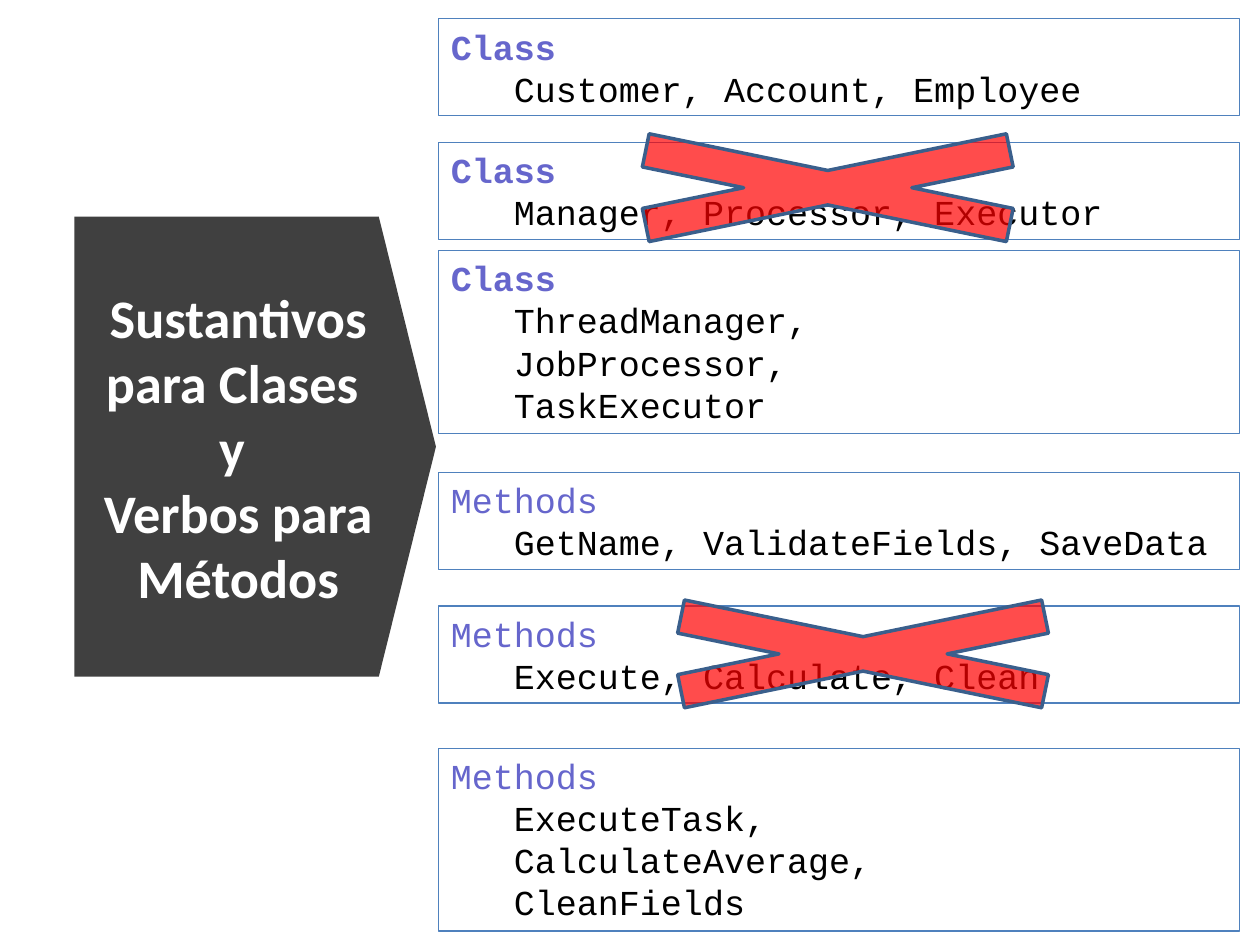
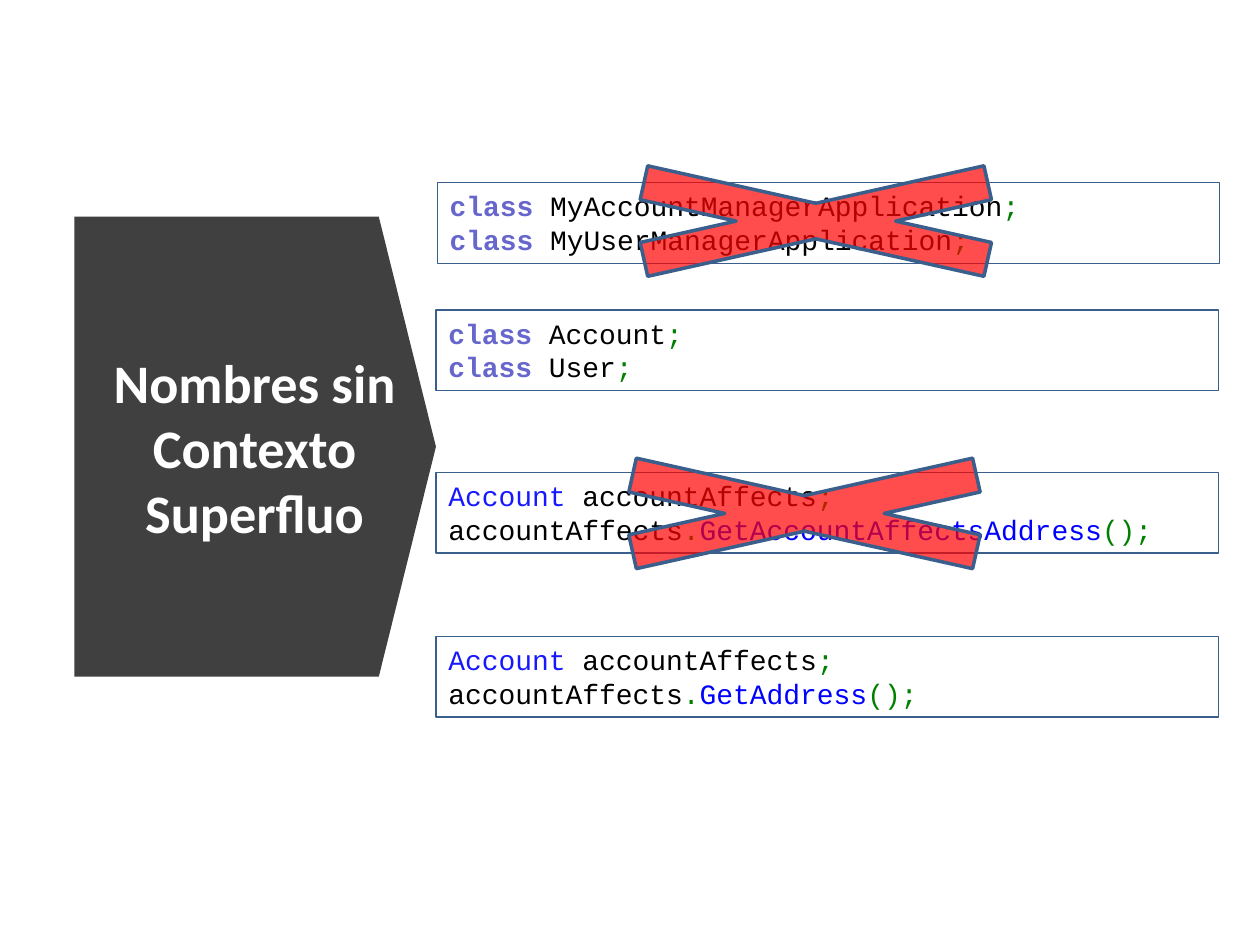
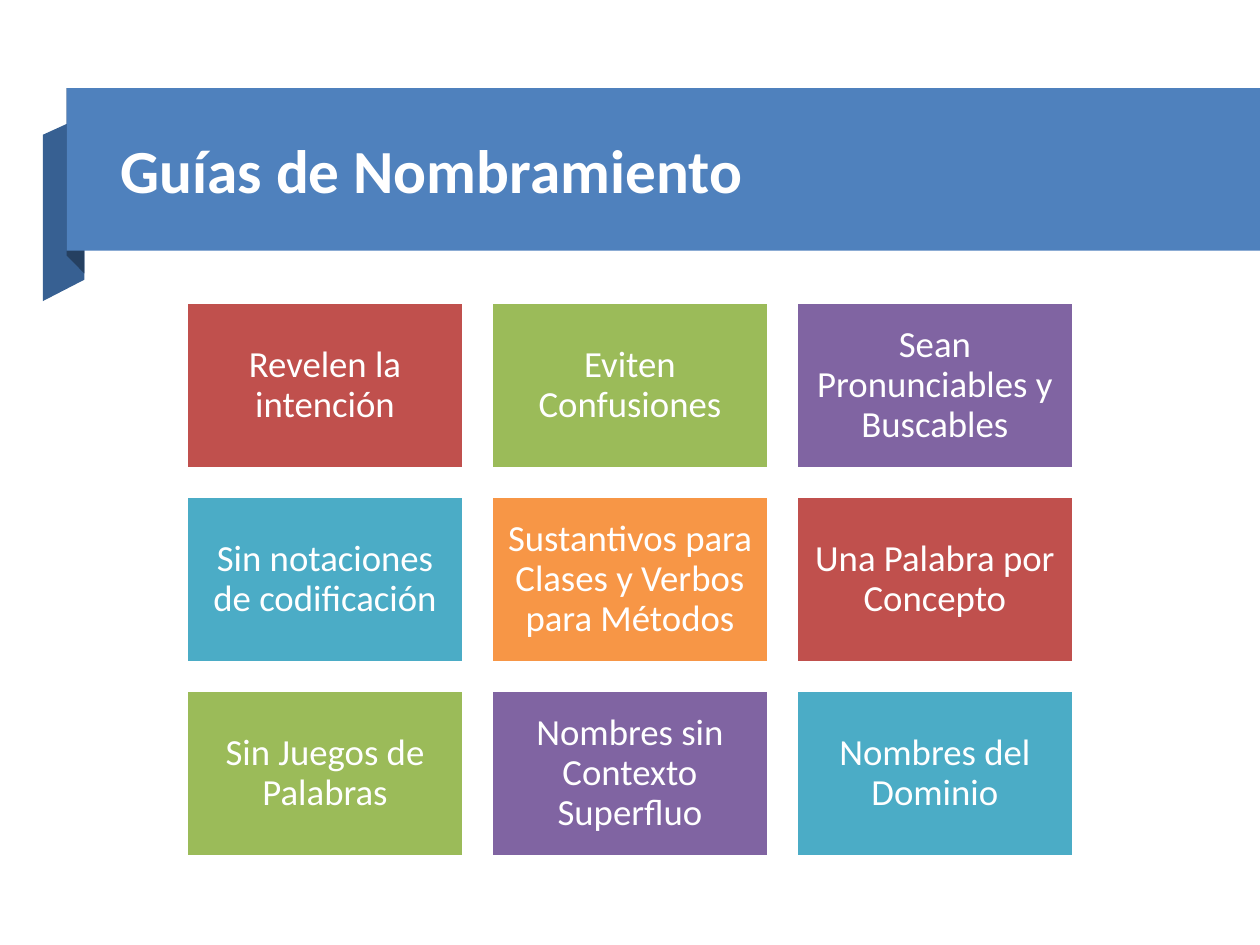
from dataclasses import dataclass

from lxml import etree
from pptx import Presentation
from pptx.dml.color import RGBColor
from pptx.enum.shapes import MSO_SHAPE
from pptx.enum.text import MSO_ANCHOR, PP_ALIGN
from pptx.oxml.ns import qn
from pptx.util import Inches, Pt

RECT = MSO_SHAPE.RECTANGLE
ARROW = MSO_SHAPE.DOWN_ARROW
CROSS = MSO_SHAPE.MATH_MULTIPLY
TOP, MIDDLE = MSO_ANCHOR.TOP, MSO_ANCHOR.MIDDLE
LEFT, CENTER = PP_ALIGN.LEFT, PP_ALIGN.CENTER


@dataclass(frozen=True)
class Theme:
    sans: str = "Calibri"
    mono: str = "Courier New"
    white: str = "FFFFFF"
    black: str = "000000"
    panel: str = "404040"
    blue: str = "4F81BD"
    navy: str = "3A5F8C"
    fold: str = "376092"
    fold_dark: str = "254061"
    cross: str = "FF0000"
    keyword: str = "6666CC"
    sign: str = "008000"
    type_name: str = "1818FF"
    call: str = "0000FF"
    red: str = "C0504D"
    green: str = "9BBB59"
    purple: str = "8064A2"
    teal: str = "4BACC6"
    orange: str = "F79646"
    panel_size: int = 31
    title_size: int = 35
    card_size: int = 21
    names_size: int = 20
    code_size: int = 16


T = Theme()

STYLES = {
    "kw": (T.keyword, True),
    "head": (T.keyword, False),
    "name": (T.black, False),
    "sign": (T.sign, False),
    "type": (T.type_name, False),
    "call": (T.call, False),
}

NAMES_TITLE = ["Sustantivos para Clases ", "y ", "Verbos para Métodos"]
NAMES = [
    (0.15, 0.77, "Class", "kw", ["Customer, Account, Employee"]),
    (1.13, 0.77, "Class", "kw", ["Manager, Processor, Executor"]),
    (1.99, 1.45, "Class", "kw",
     ["ThreadManager,", "JobProcessor,", "TaskExecutor"]),
    (3.75, 0.77, "Methods", "head", ["GetName, ValidateFields, SaveData"]),
    (4.81, 0.77, "Methods", "head", ["Execute, Calculate, Clean"]),
    (5.94, 1.45, "Methods", "head",
     ["ExecuteTask,", "CalculateAverage,", "CleanFields"]),
]
NAMES_CROSSES = [(3.79, 0.92, 5.56, 1.14), (4.07, 4.62, 5.56, 1.14)]


def class_line(name):
    return [("class ", "kw"), (name, "name"), (";", "sign")]


def account_lines(method):
    return [
        [("Account ", "type"), ("accountAffects", "name"), (";", "sign")],
        [("accountAffects", "name"), (".", "sign"), (method, "call"),
         ("();", "sign")],
    ]


CONTEXT_TITLE = ["Nombres sin Contexto Superfluo"]
CONTEXT = [
    (3.47, 1.45, [class_line("MyAccountManagerApplication"),
                  class_line("MyUserManagerApplication")]),
    (3.46, 2.46, [class_line("Account"), class_line("User")]),
    (3.46, 3.75, account_lines("GetAccountAffectsAddress")),
    (3.46, 5.05, account_lines("GetAddress")),
]
CONTEXT_CROSSES = [(3.85, 1.17, 5.25, 1.17), (3.76, 3.49, 5.25, 1.17)]

GUIDES_TITLE = "Guías de Nombramiento"
GUIDES = [
    ("Revelen la intención", T.red),
    ("Eviten Confusiones", T.green),
    ("Sean Pronunciables y Buscables", T.purple),
    ("Sin notaciones de codificación", T.teal),
    ("Sustantivos para Clases y Verbos para Métodos", T.orange),
    ("Una Palabra por Concepto", T.red),
    ("Sin Juegos de Palabras", T.green),
    ("Nombres sin Contexto Superfluo", T.purple),
    ("Nombres del Dominio", T.teal),
]
FOLDS = [
    ([(0.67, 2.22), (0.34, 2.39), (0.34, 1.07), (0.67, 0.92)], T.fold),
    ([(0.67, 2.17), (0.53, 2.03), (0.53, 0.7), (0.67, 0.85)], T.fold_dark),
]


def rgb(color):
    return RGBColor.from_string(color)


def paint(sp, fill=None, line=None, width=0.75):
    sp.shadow.inherit = False
    if fill:
        sp.fill.solid()
        sp.fill.fore_color.rgb = rgb(fill)
    else:
        sp.fill.background()
    if line:
        sp.line.color.rgb = rgb(line)
        sp.line.width = Pt(width)
    else:
        sp.line.fill.background()


def add_box(s, kind, box, **look):
    sp = s.shapes.add_shape(kind, *map(Inches, box))
    paint(sp, **look)
    return sp


def write(sp, lines, size, font=T.sans, anchor=MIDDLE, align=LEFT,
          spacing=None, indent=0):
    tf = sp.text_frame
    tf.word_wrap = True
    tf.vertical_anchor = anchor
    for i, line in enumerate(lines):
        p = tf.paragraphs[0] if i == 0 else tf.add_paragraph()
        p.alignment = align
        if spacing:
            p.line_spacing = spacing
        if i and indent:
            p._p.get_or_add_pPr().set("marL", str(Inches(indent)))
        for text, color, bold in line:
            r = p.add_run()
            r.text = text
            r.font.name = font
            r.font.size = Pt(size)
            r.font.bold = bold
            r.font.color.rgb = rgb(color)
    return tf


def write_code(sp, lines, size, indent=0):
    runs = [[(text, *STYLES[style]) for text, style in line] for line in lines]
    write(sp, runs, size, font=T.mono, anchor=TOP, indent=indent)


def add_title(s, box, lines, size, align=LEFT):
    sp = s.shapes.add_textbox(*map(Inches, box))
    write(sp, [[(text, T.white, True)] for text in lines], size, align=align)


def add_panel(s, lines, left, width):
    sp = add_box(s, ARROW, (0.2, 2.11, 3.65, 2.87), fill=T.panel)
    sp.rotation = 270
    sp.adjustments[0] = 1
    sp.adjustments[1] = 0.158
    add_title(s, (left, 2.15, width, 2.79), lines, T.panel_size, CENTER)


def add_crosses(s, boxes):
    for box in boxes:
        sp = add_box(s, CROSS, box, fill=T.cross, line=T.navy, width=2)
        color = sp._element.spPr.find(qn("a:solidFill"))[0]
        etree.SubElement(color, qn("a:alpha")).set("val", "70000")


def add_names(s):
    add_panel(s, NAMES_TITLE, 0.59, 2.6)
    for top, height, head, style, names in NAMES:
        sp = add_box(s, RECT, (3.48, top, 6.36, height), line=T.blue)
        lines = [[(head, style)]] + [[(name, "name")] for name in names]
        write_code(sp, lines, T.names_size, indent=0.5)
    add_crosses(s, NAMES_CROSSES)


def add_context(s):
    add_panel(s, CONTEXT_TITLE, 0.8, 2.44)
    for left, top, lines in CONTEXT:
        sp = add_box(s, RECT, (left, top, 6.21, 0.64), line=T.navy)
        write_code(sp, lines, T.code_size)
    add_crosses(s, CONTEXT_CROSSES)


def add_ribbon(s, title):
    for points, color in FOLDS:
        (x, y), *rest = [(Inches(a), Inches(b)) for a, b in points]
        fb = s.shapes.build_freeform(x, y)
        fb.add_line_segments(rest, close=True)
        paint(fb.convert_to_shape(), fill=color)
    add_box(s, RECT, (0.53, 0.7, 9.47, 1.29), fill=T.blue)
    add_title(s, (0.86, 0.86, 8.45, 0.96), [title], T.title_size)


def add_guides(s):
    add_ribbon(s, GUIDES_TITLE)
    cols, width, height, gap, top = 3, 2.2, 1.32, 0.22, 2.4
    left = (10 - cols * width - (cols - 1) * gap) / 2
    for i, (text, color) in enumerate(GUIDES):
        row, col = divmod(i, cols)
        box = (left + col * (width + gap), top + row * (height + gap),
               width, height)
        sp = add_box(s, RECT, box, fill=color, line=T.white, width=2)
        tf = write(sp, [[(text, T.white, False)]], T.card_size,
                   align=CENTER, spacing=0.9)
        tf.margin_left = tf.margin_right = Inches(0.09)
        tf.margin_top = tf.margin_bottom = Inches(0.09)


def main():
    prs = Presentation()
    prs.slide_width, prs.slide_height = Inches(10), Inches(7.5)
    for build in (add_names, add_context, add_guides):
        build(prs.slides.add_slide(prs.slide_layouts[6]))
    prs.save("out.pptx")


if __name__ == "__main__":
    main()
